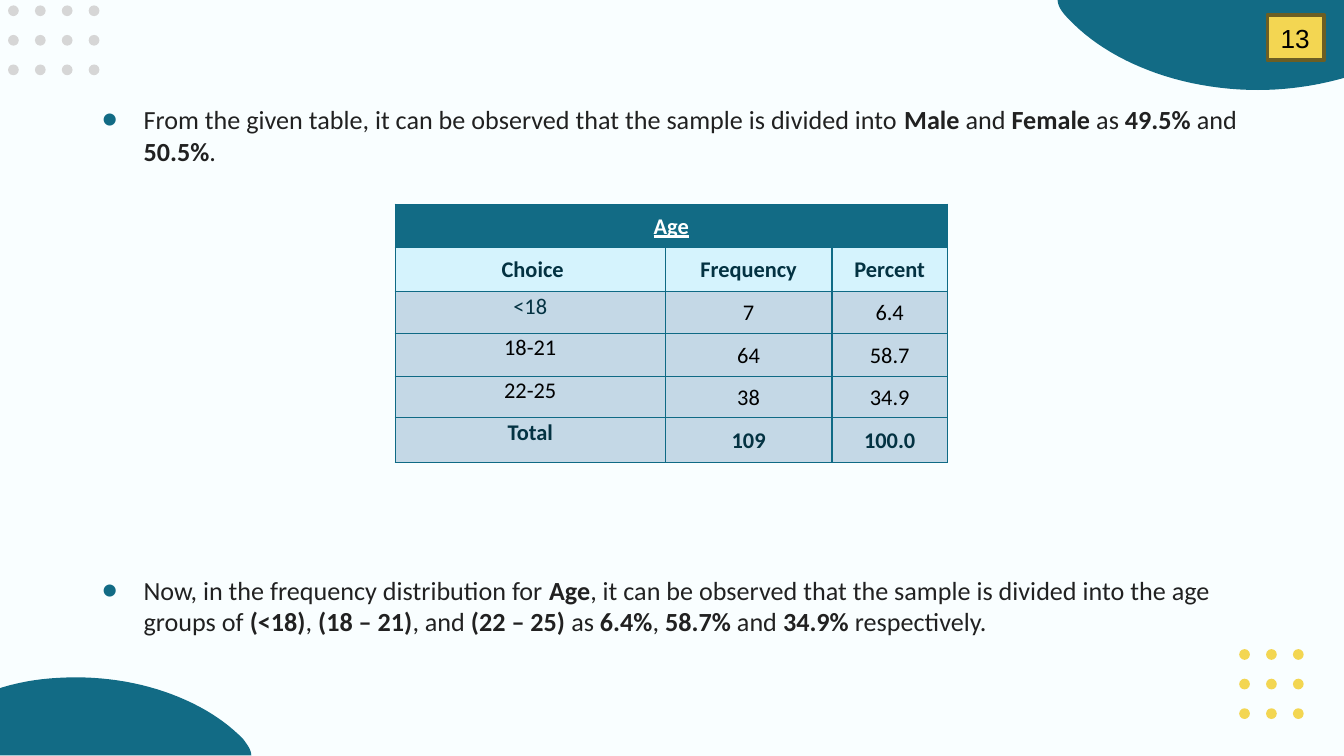
"""Build the age distribution slide with its table and two findings."""
from dataclasses import dataclass

from lxml import etree
from pptx import Presentation
from pptx.dml.color import RGBColor
from pptx.enum.shapes import MSO_SHAPE
from pptx.enum.text import MSO_ANCHOR, PP_ALIGN
from pptx.oxml.ns import qn
from pptx.util import Inches, Pt

OVAL, RECT = MSO_SHAPE.OVAL, MSO_SHAPE.RECTANGLE
TOP, MIDDLE = MSO_ANCHOR.TOP, MSO_ANCHOR.MIDDLE
LEFT, CENTER = PP_ALIGN.LEFT, PP_ALIGN.CENTER


@dataclass(frozen=True)
class Theme:
    background: str = "F9FEFF"
    teal: str = "126B85"
    gray: str = "D6D6D6"
    yellow: str = "F3D652"
    badge_line: str = "6B5E24"
    text: str = "212121"
    table_text: str = "033242"
    white: str = "FFFFFF"
    black: str = "000000"
    subheader: str = "D5F3FD"
    row: str = "C4D8E6"
    border: str = "0F6A85"
    font: str = "Calibri"
    badge_font: str = "Arial"
    body_size: int = 14
    table_size: int = 12


@dataclass(frozen=True)
class DotGrid:
    left: float
    top: float
    cols: int
    rows: int
    color: str


@dataclass(frozen=True)
class Blob:
    start: tuple
    segments: tuple


@dataclass(frozen=True)
class Finding:
    top: float
    text: str


@dataclass(frozen=True)
class CellStyle:
    fill: str
    color: str
    bold: bool = False
    underline: bool = False
    anchor: int = MIDDLE


THEME = Theme()
SLIDE_WIDTH = Inches(10)
SLIDE_HEIGHT = SLIDE_WIDTH * 9 // 16
DOT, DOT_STEP_X, DOT_STEP_Y, CURVE_STEPS = 0.08, 0.2, 0.22, 24
GRIDS = (
    DotGrid(0.06, 0.04, 4, 3, THEME.gray),
    DotGrid(9.22, 4.83, 3, 3, THEME.yellow),
)
BLOBS = (
    Blob((0.57, 5.04), (
        ((0.38, 5.04), (0.19, 5.06), (0, 5.12)),
        ((0, 5.62),),
        ((1.87, 5.62),),
        ((1.87, 5.58), (1.84, 5.54), (1.81, 5.5)),
        ((1.54, 5.22), (1.07, 5.04), (0.57, 5.04)),
    )),
    Blob((9.36, 0.67), (
        ((9.57, 0.67), (9.79, 0.64), (10, 0.58)),
        ((10, 0),),
        ((7.87, 0),),
        ((7.87, 0.05), (7.91, 0.1), (7.95, 0.14)),
        ((8.25, 0.46), (8.78, 0.67), (9.36, 0.67)),
    )),
)
FINDINGS = (
    Finding(0.67, "From the given table, it can be observed that the sample is divided into "
                  "*Male* and *Female* as *49.5%* and *50.5%*."),
    Finding(4.17, "Now, in the frequency distribution for *Age*, it can be observed that the "
                  "sample is divided into the age groups of *(<18)*, *(18 – 21)*, and "
                  "*(22 – 25) *as *6.4%*, *58.7%* and *34.9%* respectively."),
)
COL_WIDTHS = (2.01, 1.24, 0.86)
ROW_HEIGHTS = (0.32, 0.33, 0.31, 0.32, 0.31, 0.33)
ROWS = (
    ("Age", "", ""),
    (" Choice", "Frequency", "Percent"),
    ("<18", "7", "6.4"),
    ("18-21", "64", "58.7"),
    ("22-25", "38", "34.9"),
    ("Total", "109", "100.0"),
)


def rgb(value: str) -> RGBColor:
    return RGBColor.from_string(value)


def paint(s, color: str) -> None:
    s.shadow.inherit = False
    s.fill.solid()
    s.fill.fore_color.rgb = rgb(color)
    s.line.fill.background()


def style_run(r, font: str, size: int, color: str, bold: bool = False) -> None:
    r.font.name, r.font.size, r.font.bold = font, Pt(size), bold
    r.font.color.rgb = rgb(color)


def bezier(points: list, t: float) -> tuple:
    weights = ((1 - t) ** 3, 3 * t * (1 - t) ** 2, 3 * t * t * (1 - t), t ** 3)
    return tuple(Inches(sum(w * pt[axis] for w, pt in zip(weights, points))) for axis in (0, 1))


def draw_blob(shapes, blob: Blob) -> None:
    builder = shapes.build_freeform(Inches(blob.start[0]), Inches(blob.start[1]))
    here = blob.start
    for segment in blob.segments:
        if len(segment) == 1:
            vertices = [tuple(Inches(v) for v in segment[0])]
        else:
            vertices = [bezier([here, *segment], i / CURVE_STEPS)
                        for i in range(1, CURVE_STEPS + 1)]
        builder.add_line_segments(vertices, close=False)
        here = segment[-1]
    builder.add_line_segments([], close=True)
    paint(builder.convert_to_shape(), THEME.teal)


def draw_dots(shapes, grid: DotGrid) -> None:
    for col in range(grid.cols):
        for row in range(grid.rows):
            x, y = grid.left + col * DOT_STEP_X, grid.top + row * DOT_STEP_Y
            paint(shapes.add_shape(OVAL, Inches(x), Inches(y), Inches(DOT), Inches(DOT)),
                  grid.color)


def draw_finding(shapes, finding: Finding) -> None:
    tf = shapes.add_textbox(Inches(0.66), Inches(finding.top), Inches(8.68), Inches(0.68)).text_frame
    tf.word_wrap = True
    tf.margin_left = tf.margin_right = tf.margin_top = tf.margin_bottom = Inches(0.1)
    p = tf.paragraphs[0]
    pPr = p._p.get_or_add_pPr()
    pPr.set("marL", str(Inches(0.31)))
    pPr.set("indent", str(-Inches(0.31)))
    color = etree.SubElement(pPr, qn("a:buClr"))
    etree.SubElement(color, qn("a:srgbClr"), val=THEME.teal)
    etree.SubElement(pPr, qn("a:buFont"), typeface=THEME.font)
    etree.SubElement(pPr, qn("a:buChar"), char="●")
    for i, part in enumerate(finding.text.split("*")):
        r = p.add_run()
        r.text = part
        style_run(r, THEME.font, THEME.body_size, THEME.text, bold=i % 2 == 1)


def cell_style(row: int, col: int) -> CellStyle:
    if row == 0:
        return CellStyle(THEME.teal, THEME.white, True, True)
    if row == 1:
        return CellStyle(THEME.subheader, THEME.table_text, True)
    total = row == len(ROWS) - 1
    dark = total or (row, col) == (2, 0)
    return CellStyle(THEME.row, THEME.table_text if dark else THEME.black, total,
                     anchor=MIDDLE if col else TOP)


def format_cell(cell, text: str, style: CellStyle) -> None:
    tcPr = cell._tc.get_or_add_tcPr()
    for side in ("a:lnL", "a:lnR", "a:lnT", "a:lnB"):
        line = etree.SubElement(tcPr, qn(side), w=str(Pt(0.75)))
        fill = etree.SubElement(line, qn("a:solidFill"))
        etree.SubElement(fill, qn("a:srgbClr"), val=THEME.border)
    cell.fill.solid()
    cell.fill.fore_color.rgb = rgb(style.fill)
    cell.margin_left = cell.margin_right = cell.margin_top = Inches(0.01)
    cell.margin_bottom = 0
    cell.vertical_anchor = style.anchor
    p = cell.text_frame.paragraphs[0]
    p.text, p.alignment = text, CENTER
    for r in p.runs:
        style_run(r, THEME.font, THEME.table_size, style.color, style.bold)
        r.font.underline = style.underline


def draw_table(shapes) -> None:
    table = shapes.add_table(len(ROWS), len(COL_WIDTHS), Inches(2.94), Inches(1.52),
                             Inches(sum(COL_WIDTHS)), Inches(sum(ROW_HEIGHTS))).table
    for column, width in zip(table.columns, COL_WIDTHS):
        column.width = Inches(width)
    for row, height in zip(table.rows, ROW_HEIGHTS):
        row.height = Inches(height)
    for i, values in enumerate(ROWS):
        for j, text in enumerate(values):
            format_cell(table.cell(i, j), text, cell_style(i, j))
    table.cell(0, 0).merge(table.cell(0, len(COL_WIDTHS) - 1))


def draw_badge(shapes, number: str) -> None:
    s = shapes.add_shape(RECT, Inches(9.43), Inches(0.11), Inches(0.42), Inches(0.34))
    paint(s, THEME.yellow)
    s.line.color.rgb, s.line.width = rgb(THEME.badge_line), Pt(2)
    tf = s.text_frame
    tf.text, tf.vertical_anchor, tf.word_wrap = number, MIDDLE, False
    p = tf.paragraphs[0]
    p.alignment = LEFT
    style_run(p.runs[0], THEME.badge_font, THEME.body_size, THEME.black)


def main() -> None:
    prs = Presentation()
    prs.slide_width, prs.slide_height = SLIDE_WIDTH, SLIDE_HEIGHT
    slide = prs.slides.add_slide(prs.slide_layouts[6])
    slide.background.fill.solid()
    slide.background.fill.fore_color.rgb = rgb(THEME.background)
    for blob in BLOBS:
        draw_blob(slide.shapes, blob)
    for grid in GRIDS:
        draw_dots(slide.shapes, grid)
    for finding in FINDINGS:
        draw_finding(slide.shapes, finding)
    draw_table(slide.shapes)
    draw_badge(slide.shapes, "13")
    prs.save("out.pptx")


if __name__ == "__main__":
    main()
